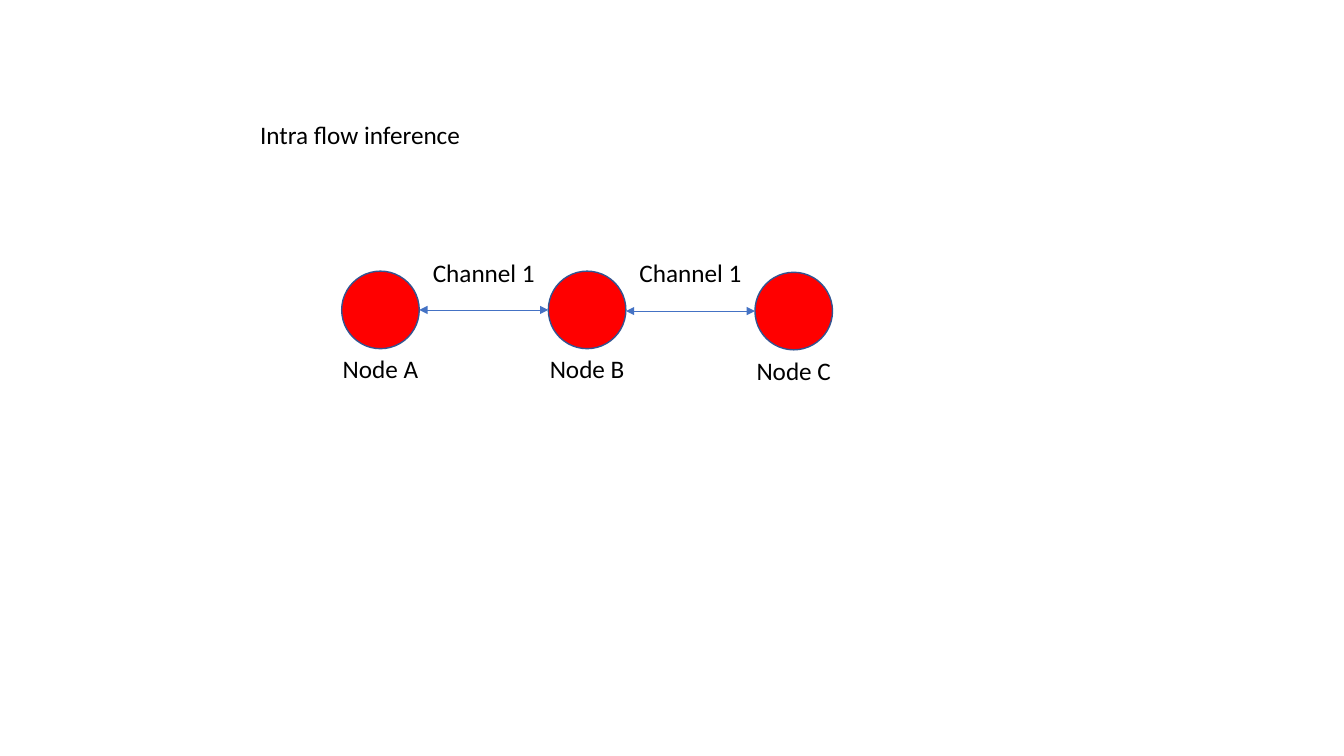
from dataclasses import dataclass

from lxml import etree
from pptx import Presentation
from pptx.dml.color import RGBColor
from pptx.enum.shapes import MSO_CONNECTOR, MSO_SHAPE
from pptx.enum.text import MSO_ANCHOR, MSO_AUTO_SIZE, PP_ALIGN
from pptx.oxml.ns import qn
from pptx.shapes.shapetree import GroupShapes
from pptx.text.text import TextFrame
from pptx.util import Pt


@dataclass(frozen=True)
class Theme:
    font: str = "Calibri"
    size: float = 18
    text: RGBColor = RGBColor(0, 0, 0)
    node: RGBColor = RGBColor(0xFF, 0, 0)
    outline: RGBColor = RGBColor(0x32, 0x54, 0x91)
    link: RGBColor = RGBColor(0x44, 0x72, 0xC4)
    outline_width: float = 1
    link_width: float = 0.5


@dataclass(frozen=True)
class Node:
    name: str
    left: float
    top: float


@dataclass(frozen=True)
class Channel:
    name: str
    left: float
    y: float


THEME = Theme()
DIAMETER, GAP = 55.4, 92.2
PITCH = DIAMETER + GAP
FIRST_LEFT, NODE_TOP = 244.1, 193.7
LABEL_HEIGHT, NODE_LABEL_WIDTH = 29, 69
CHANNEL_LABEL_TOP, CHANNEL_LABEL_WIDTH = 180, 88.6

# Node C and its link sit slightly lower
NODES = [Node(f"Node {letter}", FIRST_LEFT + i * PITCH, NODE_TOP + drop)
         for i, (letter, drop) in enumerate([("A", 0), ("B", 0), ("C", 0.8)])]
CHANNELS = [Channel("Channel 1", start.left + DIAMETER, end.top + DIAMETER / 2)
            for start, end in zip(NODES, NODES[1:])]


def set_text(tf: TextFrame, text: str, align: PP_ALIGN) -> None:
    tf.text = text
    tf.word_wrap = False
    tf.auto_size = MSO_AUTO_SIZE.SHAPE_TO_FIT_TEXT
    tf.vertical_anchor = MSO_ANCHOR.TOP
    p = tf.paragraphs[0]
    p.alignment = align
    p.line_spacing = 1.0
    p.space_before = Pt(0)
    font = p.runs[0].font
    font.name, font.size = THEME.font, Pt(THEME.size)
    font.color.rgb = THEME.text


def add_label(shapes: GroupShapes, text: str, center: float, top: float,
              width: float) -> None:
    sp = shapes.add_textbox(Pt(center - width / 2), Pt(top), Pt(width), Pt(LABEL_HEIGHT))
    set_text(sp.text_frame, text, PP_ALIGN.CENTER)


def add_node(shapes: GroupShapes, node: Node) -> None:
    sp = shapes.add_shape(MSO_SHAPE.OVAL, Pt(node.left), Pt(node.top),
                          Pt(DIAMETER), Pt(DIAMETER))
    sp.shadow.inherit = False
    sp.fill.solid()
    sp.fill.fore_color.rgb = THEME.node
    sp.line.color.rgb = THEME.outline
    sp.line.width = Pt(THEME.outline_width)
    add_label(shapes, node.name, node.left + DIAMETER / 2, node.top + DIAMETER,
              NODE_LABEL_WIDTH)


def add_channel(shapes: GroupShapes, channel: Channel) -> None:
    line = shapes.add_connector(MSO_CONNECTOR.STRAIGHT, Pt(channel.left), Pt(channel.y),
                                Pt(channel.left + GAP), Pt(channel.y))
    line.line.color.rgb = THEME.link
    line.line.width = Pt(THEME.link_width)
    sp_pr = line.element.spPr
    ln = sp_pr.find(qn("a:ln"))
    for end in ("a:headEnd", "a:tailEnd"):
        etree.SubElement(ln, qn(end)).set("type", "triangle")
    etree.SubElement(sp_pr, qn("a:effectLst"))
    add_label(shapes, channel.name, channel.left + GAP / 2, CHANNEL_LABEL_TOP,
              CHANNEL_LABEL_WIDTH)


# Slide and title
prs = Presentation()
prs.slide_width, prs.slide_height = Pt(960), Pt(540)
slide = prs.slides.add_slide(prs.slide_layouts[5])
title = slide.shapes.title
title.left, title.top, title.width, title.height = Pt(178.6), Pt(81.4), Pt(159), Pt(LABEL_HEIGHT)
set_text(title.text_frame, "Intra flow inference", PP_ALIGN.LEFT)

# Chain of nodes joined by channels
chain = slide.shapes.add_group_shape().shapes
for node in NODES:
    add_node(chain, node)
for channel in CHANNELS:
    add_channel(chain, channel)

prs.save("out.pptx")
